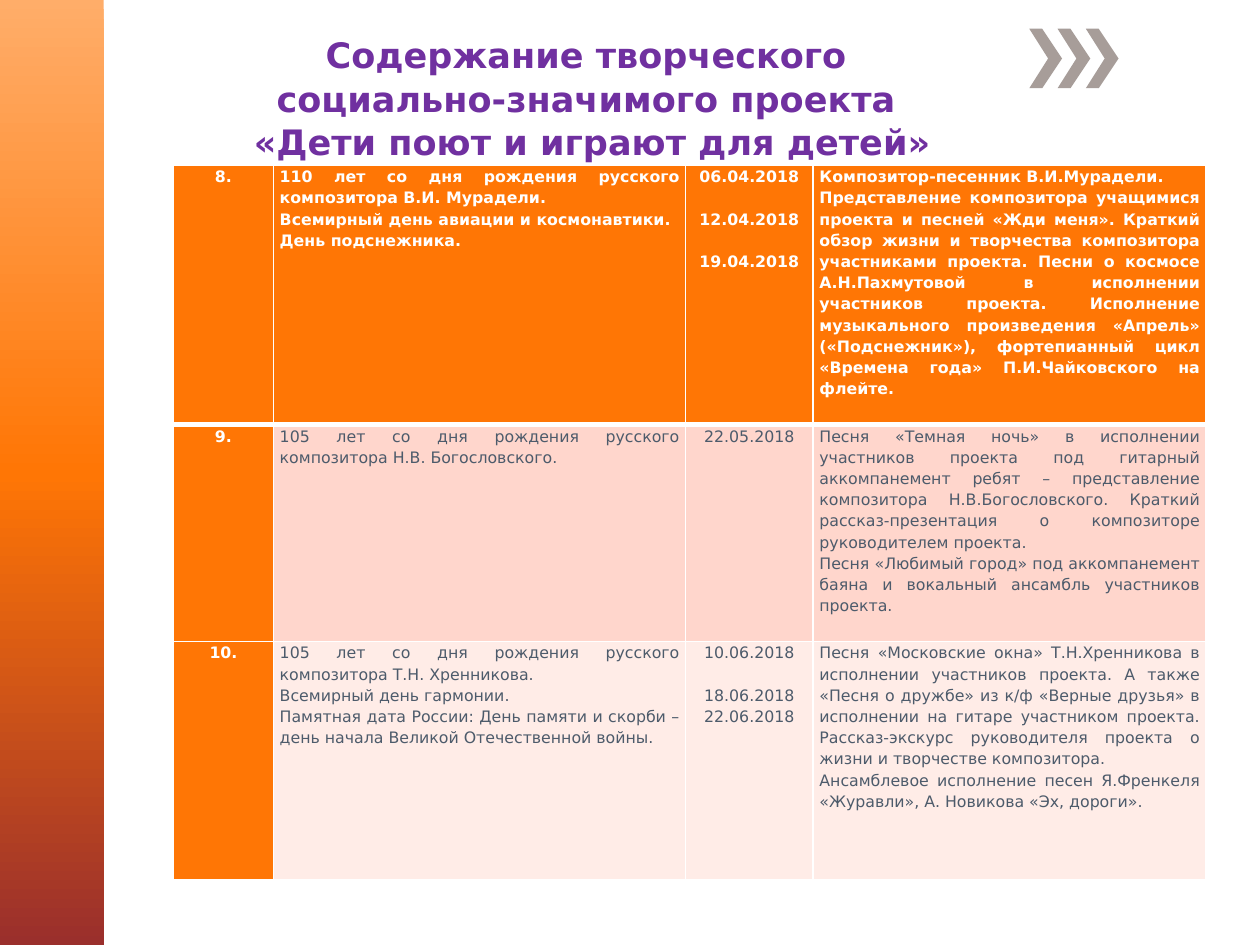
from lxml.etree import SubElement
from pptx import Presentation
from pptx.dml.color import RGBColor
from pptx.enum.shapes import MSO_SHAPE as Shape
from pptx.enum.text import PP_ALIGN as Align
from pptx.oxml.ns import qn
from pptx.util import Cm, Pt

FONT = "DejaVu Sans"
WHITE, ORANGE, PURPLE = "FFFFFF", "FF7605", "7030A0"
SLATE, TAUPE = "4D5B6B", "A79D99"
SIDEBAR_STOPS = [(0, "FFAD69"), (50, ORANGE), (100, "9A2F2C")]
CHEVRON = [(0.26, 0), (0, 0), (0.38, 0.6), (0, 1.2), (0.26, 1.2), (0.66, 0.6)]
TITLE = [
    "Содержание творческого ",
    "социально-значимого проекта ",
    "«Дети поют и играют для детей»",
]
COLUMN_WIDTHS = [2.01, 8.31, 2.57, 7.92]
COLUMN_ALIGNS = [Align.CENTER, Align.JUSTIFY, Align.CENTER, Align.JUSTIFY]
ROW_HEIGHTS = [5.23, 4.37, 4.8]
ROW_FILLS = [ORANGE, "FFD6CC", "FFECE7"]
SPACED_DATES = {"12.04.2018", "19.04.2018", "18.06.2018"}
ROWS = [
    [
        ["8."],
        ["110 лет со дня рождения русского композитора В.И. Мурадели.",
         "Всемирный день авиации и космонавтики.",
         "День подснежника."],
        ["06.04.2018", "12.04.2018", "19.04.2018"],
        ["Композитор-песенник В.И.Мурадели.",
         "Представление композитора учащимися проекта и песней «Жди меня». "
         "Краткий обзор жизни и творчества композитора участниками проекта. "
         "Песни о космосе А.Н.Пахмутовой в исполнении участников проекта. "
         "Исполнение музыкального произведения «Апрель» («Подснежник»), "
         "фортепианный цикл «Времена года» П.И.Чайковского на флейте."],
    ],
    [
        ["9."],
        ["105 лет со дня рождения русского композитора Н.В. Богословского."],
        ["22.05.2018"],
        ["Песня «Темная ночь» в исполнении участников проекта под гитарный "
         "аккомпанемент ребят – представление композитора Н.В.Богословского. "
         "Краткий рассказ-презентация о композиторе руководителем проекта.",
         "Песня «Любимый город» под аккомпанемент баяна и вокальный ансамбль "
         "участников проекта."],
    ],
    [
        ["10."],
        ["105 лет со дня рождения русского композитора Т.Н. Хренникова.",
         "Всемирный день гармонии.",
         "Памятная дата России: День памяти и скорби – день начала Великой "
         "Отечественной войны."],
        ["10.06.2018", "18.06.2018", "22.06.2018"],
        ["Песня «Московские окна» Т.Н.Хренникова в исполнении участников проекта. "
         "А также «Песня о дружбе» из к/ф «Верные друзья» в исполнении на гитаре "
         "участником проекта. Рассказ-экскурс руководителя проекта о жизни и "
         "творчестве композитора.",
         "Ансамблевое исполнение песен Я.Френкеля «Журавли», А. Новикова "
         "«Эх, дороги»."],
    ],
]


def paint(fill, color):
    fill.solid()
    fill.fore_color.rgb = RGBColor.from_string(color)


def write(frame, lines, size, color, bold, align):
    for index, line in enumerate(lines):
        para = frame.paragraphs[0] if index == 0 else frame.add_paragraph()
        para.text = line
        para.alignment = align
        para.font.name = FONT
        para.font.size = Pt(size)
        para.font.bold = bold
        para.font.color.rgb = RGBColor.from_string(color)


def add_sidebar(slide):
    bar = slide.shapes.add_shape(Shape.RECTANGLE, 0, 0, Cm(2.09), Cm(19.05))
    bar.shadow.inherit = False
    bar.line.fill.background()
    bar.fill.gradient()
    bar.fill.gradient_angle = 270
    stops = bar.element.spPr.find(qn("a:gradFill")).find(qn("a:gsLst"))
    for stop in list(stops):
        stops.remove(stop)
    for position, color in SIDEBAR_STOPS:
        stop = SubElement(stops, qn("a:gs"), pos=str(position * 1000))
        SubElement(stop, qn("a:srgbClr"), val=color)


def add_chevron(slide, left, top):
    points = [(Cm(left + x), Cm(top + y)) for x, y in CHEVRON]
    builder = slide.shapes.build_freeform(*points[0])
    builder.add_line_segments(points[1:])
    chevron = builder.convert_to_shape()
    chevron.shadow.inherit = False
    paint(chevron.fill, TAUPE)
    chevron.line.fill.background()


def add_title(slide):
    box = slide.shapes.add_textbox(Cm(3.38), Cm(0.56), Cm(17.12), Cm(2.64))
    box.text_frame.word_wrap = True
    write(box.text_frame, TITLE, 20, PURPLE, True, Align.CENTER)
    for para in box.text_frame.paragraphs:
        para.space_before = Pt(0.7)


def add_border(cell, side, width):
    properties = cell._tc.get_or_add_tcPr()
    line = SubElement(properties, qn(f"a:ln{side}"), w=str(Pt(width)))
    SubElement(SubElement(line, qn("a:solidFill")), qn("a:srgbClr"), val=WHITE)


def fill_cell(cell, lines, row, column):
    highlighted = row == 0 or column == 0
    cell.margin_left = cell.margin_right = Cm(0.13)
    cell.margin_top = cell.margin_bottom = 0
    widths = {"L": 1, "R": 1, "T": 3 if row == 1 else 1, "B": 3 if row == 0 else 1}
    for side, width in widths.items():
        add_border(cell, side, width)
    paint(cell.fill, ORANGE if highlighted else ROW_FILLS[row])
    write(cell.text_frame, lines, 9, WHITE if highlighted else SLATE,
          highlighted, COLUMN_ALIGNS[column])
    for para in cell.text_frame.paragraphs:
        para.line_spacing = 1.15
        if para.text in SPACED_DATES:
            para.space_before = Pt(12.1)


def add_schedule(slide):
    frame = slide.shapes.add_table(
        len(ROWS), len(COLUMN_WIDTHS), Cm(3.5), Cm(3.33),
        Cm(sum(COLUMN_WIDTHS)), Cm(sum(ROW_HEIGHTS)))
    table = frame.table
    table.first_row = table.horz_banding = False
    for column, width in zip(table.columns, COLUMN_WIDTHS):
        column.width = Cm(width)
    for row, height in zip(table.rows, ROW_HEIGHTS):
        row.height = Cm(height)
    for row, cells in enumerate(ROWS):
        for column, lines in enumerate(cells):
            fill_cell(table.cell(row, column), lines, row, column)


def main():
    deck = Presentation()
    deck.slide_width, deck.slide_height = Cm(25.4), Cm(19.05)
    slide = deck.slides.add_slide(deck.slide_layouts[6])
    add_sidebar(slide)
    for index in range(3):
        add_chevron(slide, 20.75 + 0.57 * index, 0.58)
    add_title(slide)
    add_schedule(slide)
    deck.save("out.pptx")


if __name__ == "__main__":
    main()
